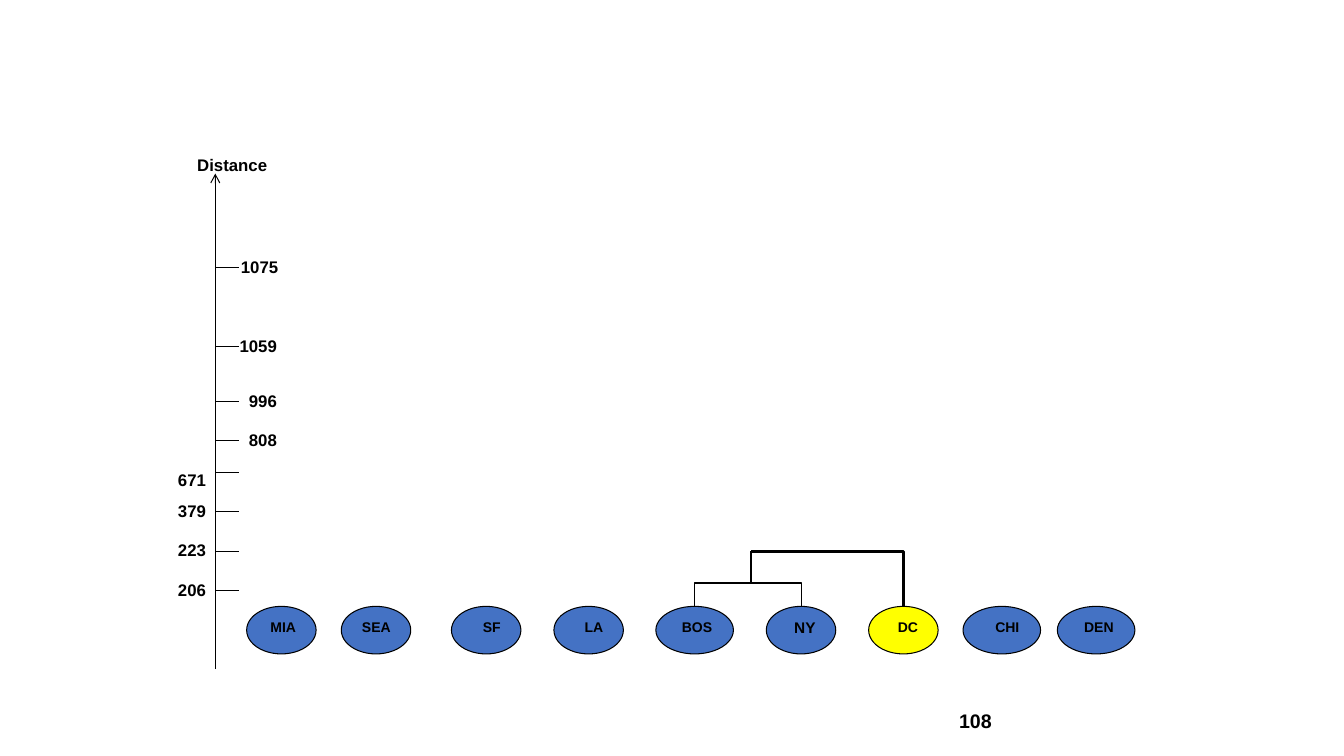
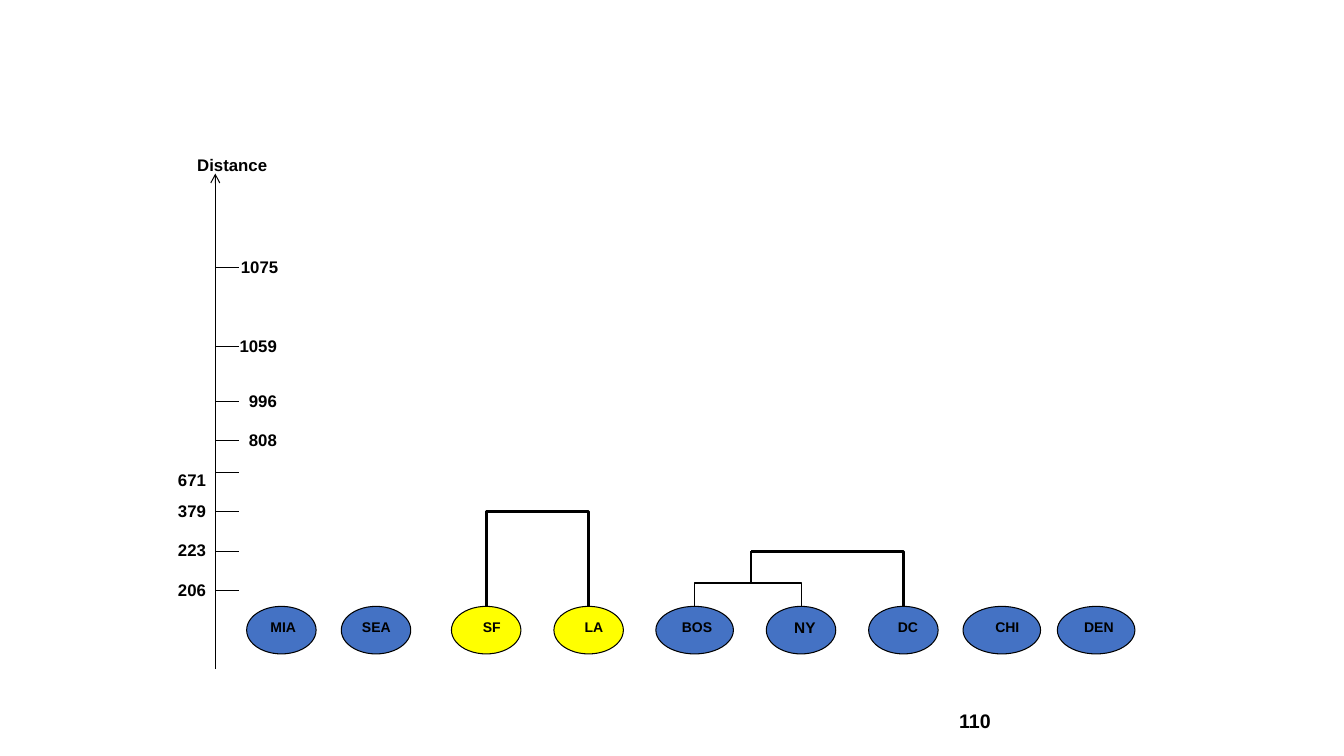
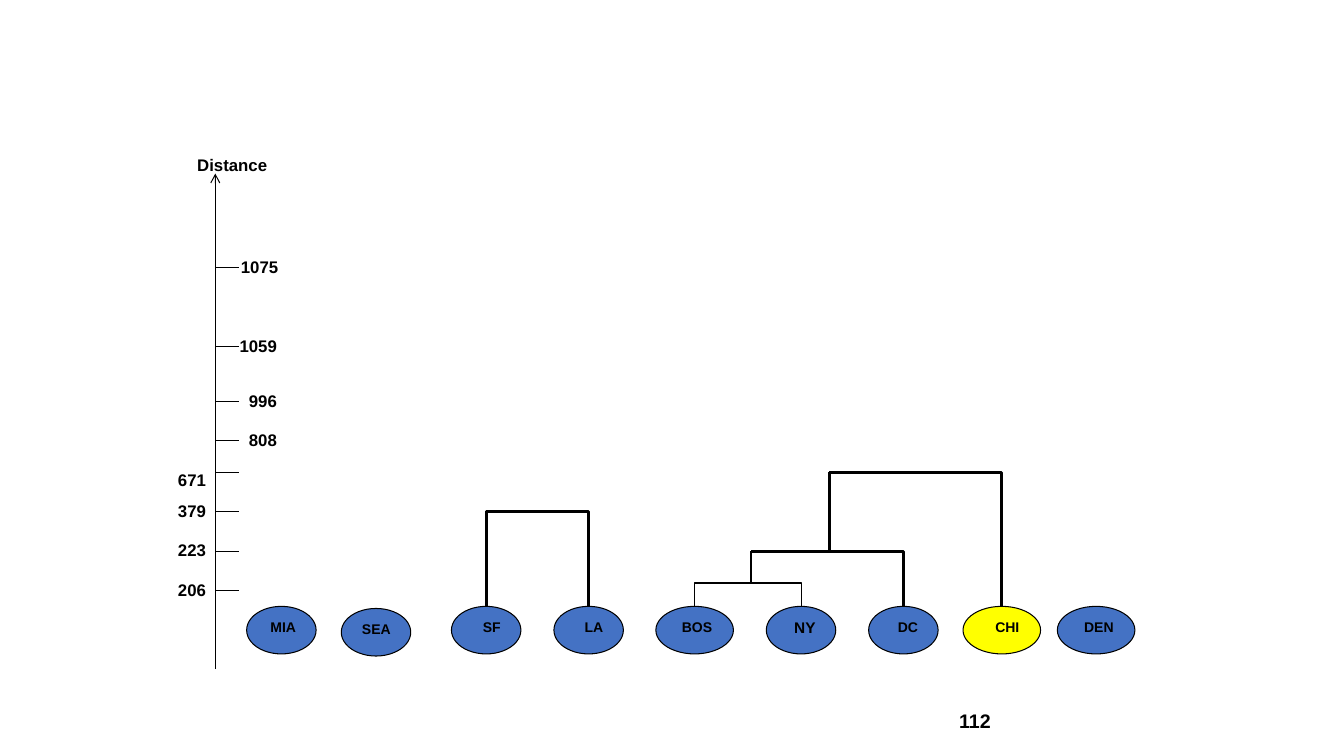
from lxml.etree import SubElement
from pptx import Presentation
from pptx.dml.color import RGBColor
from pptx.enum.shapes import MSO_CONNECTOR as LINK, MSO_SHAPE as SHAPE
from pptx.enum.text import MSO_ANCHOR as ANCHOR, MSO_AUTO_SIZE as AUTOSIZE, PP_ALIGN as ALIGN
from pptx.oxml.ns import qn
from pptx.util import Pt

COLORS = {"ink": "000000", "city": "4472C4", "merged": "FFFF00"}
FONT = "Arial"
THIN, THICK = 0.75, 2

# City ellipses: name -> (centre x, width, text size)
CITY_TOP, CITY_HEIGHT = 433.1, 34
CITIES = {
    "MIA": (201, 49.6, 10), "SEA": (268.6, 49.6, 10), "SF": (347.3, 49.6, 10),
    "LA": (420.5, 49.6, 10), "BOS": (496.2, 55.4, 10), "NY": (572.2, 49.6, 11),
    "DC": (645.3, 49.6, 10), "CHI": (715.6, 55.4, 10), "DEN": (783, 55.4, 10),
}

# Distance axis: (value, tick y, label right edge, label top)
AXIS_X, AXIS_TOP, AXIS_BOTTOM, TICK_END = 153.8, 124, 478, 170.5
LEFT_EDGE, RIGHT_EDGE = 154.2, 204.9
LABEL_HEIGHT = 21.8
TICKS = [
    ("206", 422, LEFT_EDGE, 410.5), ("223", 393.8, LEFT_EDGE, 382.3),
    ("379", 365.6, LEFT_EDGE, 354.1), ("671", 337.5, LEFT_EDGE, 332),
    ("808", 315, RIGHT_EDGE, 303.5), ("996", 287, RIGHT_EDGE, 275.5),
    ("1059", 247.6, RIGHT_EDGE, 236), ("1075", 191.2, RIGHT_EDGE + 1, 180),
]

# Heights and middles of the merged clusters
BOS_NY_Y, DC_Y, SF_LA_Y, CHI_Y = 415.5, 393.8, 361.5, 337.5
BOS_NY_X, DC_X = 536.5, 592.5
FLAT = 0.12  # depth of a bracket whose two ends are level


def rgb(name):
    return RGBColor.from_string(COLORS[name])


def write(shape, text, size, align, anchor=ANCHOR.TOP):
    frame = shape.text_frame
    frame.text = text
    frame.vertical_anchor = anchor
    paragraph = frame.paragraphs[0]
    paragraph.alignment = align
    font = paragraph.runs[0].font
    font.name, font.size, font.bold = FONT, Pt(size), True
    font.color.rgb = rgb("ink")


def add_label(slide, text, right, top, width):
    label = slide.shapes.add_textbox(Pt(right - width), Pt(top), Pt(width), Pt(LABEL_HEIGHT))
    write(label, text, 12, ALIGN.RIGHT)
    label.text_frame.word_wrap = False
    label.text_frame.auto_size = AUTOSIZE.SHAPE_TO_FIT_TEXT


def add_city(slide, name, fill, drop):
    center, width, size = CITIES[name]
    city = slide.shapes.add_shape(SHAPE.OVAL, Pt(center - width / 2), Pt(CITY_TOP + drop),
                                  Pt(width), Pt(CITY_HEIGHT))
    city.shadow.inherit = False
    city.fill.solid()
    city.fill.fore_color.rgb = rgb(fill)
    city.line.color.rgb = rgb("ink")
    city.line.width = Pt(THIN)
    write(city, name, size, ALIGN.RIGHT)
    return city


def add_line(slide, start, end, weight=THIN, kind=LINK.STRAIGHT):
    line = slide.shapes.add_connector(kind, *(Pt(v) for v in (*start, *end)))
    line.line.color.rgb = rgb("ink")
    line.line.width = Pt(weight)
    SubElement(line._element.spPr, qn("a:effectLst"))
    return line


def stand_up(elbow, left, right, depth):
    """Turn an elbow so that it rises from the city at its right end and runs left."""
    span = right - left
    center_x, center_y = (left + right) / 2, CITY_TOP - depth / 2
    elbow.left, elbow.top = Pt(center_x - depth / 2), Pt(center_y - span / 2)
    elbow.width, elbow.height = Pt(depth), Pt(span)
    xfrm = elbow._element.spPr.find(qn("a:xfrm"))
    xfrm.attrib.clear()
    xfrm.set("rot", "16200000")
    xfrm.set("flipV", "1")
    return elbow._element.spPr.find(qn("a:prstGeom"))


def join_cities(slide, cities, left_name, right_name, y, weight):
    left, right = CITIES[left_name][0], CITIES[right_name][0]
    bracket = add_line(slide, (right, CITY_TOP), (left, CITY_TOP), weight, LINK.ELBOW)
    bracket.begin_connect(cities[right_name], 0)
    bracket.end_connect(cities[left_name], 0)
    geometry = stand_up(bracket, left, right, FLAT)
    rise = round((CITY_TOP - y) / FLAT * 100000)
    SubElement(geometry.find(qn("a:avLst")), qn("a:gd"), name="adj1", fmla=f"val {rise}")


def join_cluster(slide, cities, name, y, cluster_x, cluster_y):
    right = CITIES[name][0]
    branch = add_line(slide, (right, CITY_TOP), (cluster_x, y), THICK, LINK.ELBOW)
    branch.begin_connect(cities[name], 0)
    geometry = stand_up(branch, cluster_x, right, CITY_TOP - y)
    geometry.set("prst", "bentConnector2")
    add_line(slide, (cluster_x, y), (cluster_x, cluster_y), THICK)


def add_axis(slide):
    axis = add_line(slide, (AXIS_X, AXIS_BOTTOM), (AXIS_X, AXIS_TOP))
    SubElement(axis.line._get_or_add_ln(), qn("a:tailEnd"), type="arrow")
    add_label(slide, "Distance", 198, 107, 64.6)
    for value, y, right, top in TICKS:
        add_line(slide, (AXIS_X, y), (TICK_END, y))
        add_label(slide, value, right, top, 14.4 + 6.7 * len(value))


def add_page_number(slide, number):
    box = slide.shapes.add_textbox(Pt(678), Pt(500.5), Pt(216), Pt(28.8))
    box.text_frame.word_wrap = True
    write(box, str(number), 14, ALIGN.LEFT, ANCHOR.MIDDLE)


def add_step(deck, number, merged, with_coast=False, with_chicago=False, drops=None):
    slide = deck.slides.add_slide(deck.slide_layouts[6])
    drops = drops or {}
    cities = {name: add_city(slide, name, "merged" if name in merged else "city",
                             drops.get(name, 0)) for name in CITIES}
    add_axis(slide)
    # Dendrogram, from the lowest merge up
    join_cities(slide, cities, "BOS", "NY", BOS_NY_Y, THIN)
    join_cluster(slide, cities, "DC", DC_Y, BOS_NY_X, BOS_NY_Y)
    if with_coast:
        join_cities(slide, cities, "SF", "LA", SF_LA_Y, THICK)
    if with_chicago:
        join_cluster(slide, cities, "CHI", CHI_Y, DC_X, DC_Y)
    add_page_number(slide, number)


def main():
    deck = Presentation()
    deck.slide_width, deck.slide_height = Pt(960), Pt(540)
    add_step(deck, 108, {"DC"})
    add_step(deck, 110, {"SF", "LA"}, with_coast=True)
    add_step(deck, 112, {"CHI"}, with_coast=True, with_chicago=True, drops={"SEA": 1.5})
    deck.save("out.pptx")


if __name__ == "__main__":
    main()
